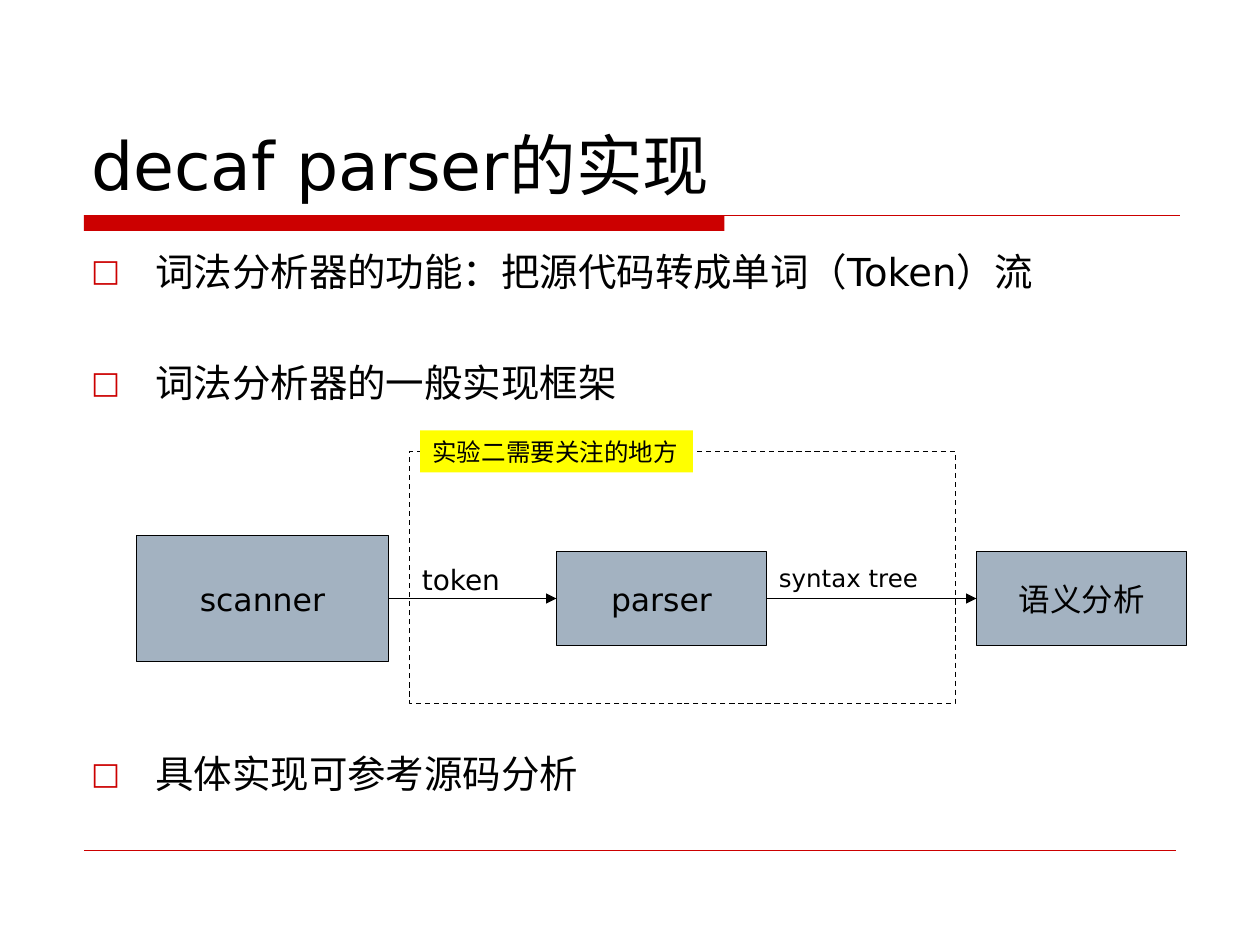
from lxml import etree
from pptx import Presentation
from pptx.dml.color import RGBColor
from pptx.enum.dml import MSO_LINE
from pptx.enum.shapes import MSO_CONNECTOR, MSO_SHAPE
from pptx.enum.text import MSO_ANCHOR, PP_ALIGN
from pptx.oxml.ns import qn
from pptx.util import Inches, Pt

RECTANGLE, STRAIGHT = MSO_SHAPE.RECTANGLE, MSO_CONNECTOR.STRAIGHT
TOP, MIDDLE, BOTTOM = MSO_ANCHOR.TOP, MSO_ANCHOR.MIDDLE, MSO_ANCHOR.BOTTOM
LEFT, CENTER = PP_ALIGN.LEFT, PP_ALIGN.CENTER
DASH = MSO_LINE.DASH

COLORS = {"ink": "000000", "red": "CC0000", "block": "A3B2C1", "note": "FFFF00"}
FONT = "DejaVu Sans"
CELLS_PER_INCH = 12  # the page is a grid of 120 columns and 90 rows


def cells(*counts):
    return [Inches(count / CELLS_PER_INCH) for count in counts]


def color(name):
    return RGBColor.from_string(COLORS[name])


def add_span(para, text, size):
    span = para.add_run()
    span.text = text
    span.font.size = Pt(size)
    span.font.name = FONT
    span.font.color.rgb = color("ink")
    etree.SubElement(span.font._element, qn("a:ea"), typeface=FONT)


def write(shape, text, size, align=LEFT, anchor=TOP, wrap=True):
    frame = shape.text_frame
    frame.word_wrap = wrap
    frame.vertical_anchor = anchor
    para = frame.paragraphs[0]
    para.alignment = align
    add_span(para, text, size)


def add_label(page, box, text, size, anchor=TOP):
    write(page.shapes.add_textbox(*cells(*box)), text, size, anchor=anchor)


def add_rectangle(page, box, fill=None, outline=None):
    shape = page.shapes.add_shape(RECTANGLE, *cells(*box))
    shape.shadow.inherit = False
    if fill:
        shape.fill.solid()
        shape.fill.fore_color.rgb = color(fill)
    else:
        shape.fill.background()
    if outline:
        shape.line.color.rgb = color(outline)
        shape.line.width = Pt(0.75)
    else:
        shape.line.fill.background()
    return shape


def add_rule(page, start, end, row, name, width=0.75, arrow=False):
    rule = page.shapes.add_connector(STRAIGHT, *cells(start, row, end, row))
    rule.line.color.rgb = color(name)
    rule.line.width = Pt(width)
    if arrow:
        etree.SubElement(rule.line._get_or_add_ln(), qn("a:tailEnd"), type="triangle")
    etree.SubElement(rule._element.spPr, qn("a:effectLst"))


def add_decoration(page, box):
    left, top, width, height = box
    add_rectangle(page, (left, top, 61, 1.5), fill="red")
    add_rule(page, left, left + width, top, "red")
    add_rule(page, left, left + 104, top + height, "red", 0.25)


def add_bullets(page, box, items):
    body = page.shapes.add_textbox(*cells(*box)).text_frame
    body.word_wrap = True
    for index, (text, space) in enumerate(items):
        para = body.add_paragraph() if index else body.paragraphs[0]
        para.space_before = Pt(space)
        layout = para._p.get_or_add_pPr()
        layout.set("marL", str(Inches(0.51)))
        layout.set("indent", str(-Inches(0.51)))
        bullet_color = etree.SubElement(layout, qn("a:buClr"))
        etree.SubElement(bullet_color, qn("a:srgbClr"), val=COLORS["red"])
        etree.SubElement(layout, qn("a:buSzPct"), val="80000")
        etree.SubElement(layout, qn("a:buFont"), typeface=FONT)
        etree.SubElement(layout, qn("a:buChar"), char="□")
        add_span(para, text, 22)


def add_pipeline(page, box):
    left, top, width, height = box
    axis = top + 16

    # Dashed frame around the part of interest
    frame = add_rectangle(page, (left + 26, top + 2, 52, height - 2), outline="ink")
    frame.line.dash_style = DASH

    # Stages, centred on the axis
    stages = [("scanner", 0, 24, 12), ("parser", 40, 20, 9), ("语义分析", 80, 20, 9)]
    for text, column, wide, high in stages:
        place = (left + column, axis - high / 2, wide, high)
        stage = add_rectangle(page, place, fill="block", outline="ink")
        write(stage, text, 18, CENTER, MIDDLE, wrap=False)

    # Arrows from each stage to the next
    for (_, column, wide, _), (_, target, _, _) in zip(stages, stages[1:]):
        add_rule(page, left + column + wide, left + target, axis, "ink", arrow=True)

    # What flows along the arrows
    add_label(page, (left + 26, axis - 4, 14, 4.4), "token", 16)
    add_label(page, (left + 60, axis - 4, 18, 4), "syntax tree", 14)

    # Highlighted caption of the frame
    note = add_rectangle(page, (left + 27, top, 26, 4), fill="note")
    write(note, "实验二需要关注的地方", 14)


def main():
    deck = Presentation()
    deck.slide_width, deck.slide_height = cells(120, 90)
    page = deck.slides.add_slide(deck.slide_layouts[6])

    add_decoration(page, (8, 20.5, 104.4, 60.5))
    add_label(page, (7.5, 4, 105, 16), "decaf parser的实现", 38, BOTTOM)
    add_bullets(page, (7.5, 23, 105, 56), [
        ("词法分析器的功能：把源代码转成单词（Token）流", 0),
        ("词法分析器的一般实现框架", 37.5),
        ("具体实现可参考源码分析", 197),
    ])
    add_pipeline(page, (13, 41, 100, 26))
    deck.save("out.pptx")


if __name__ == "__main__":
    main()
